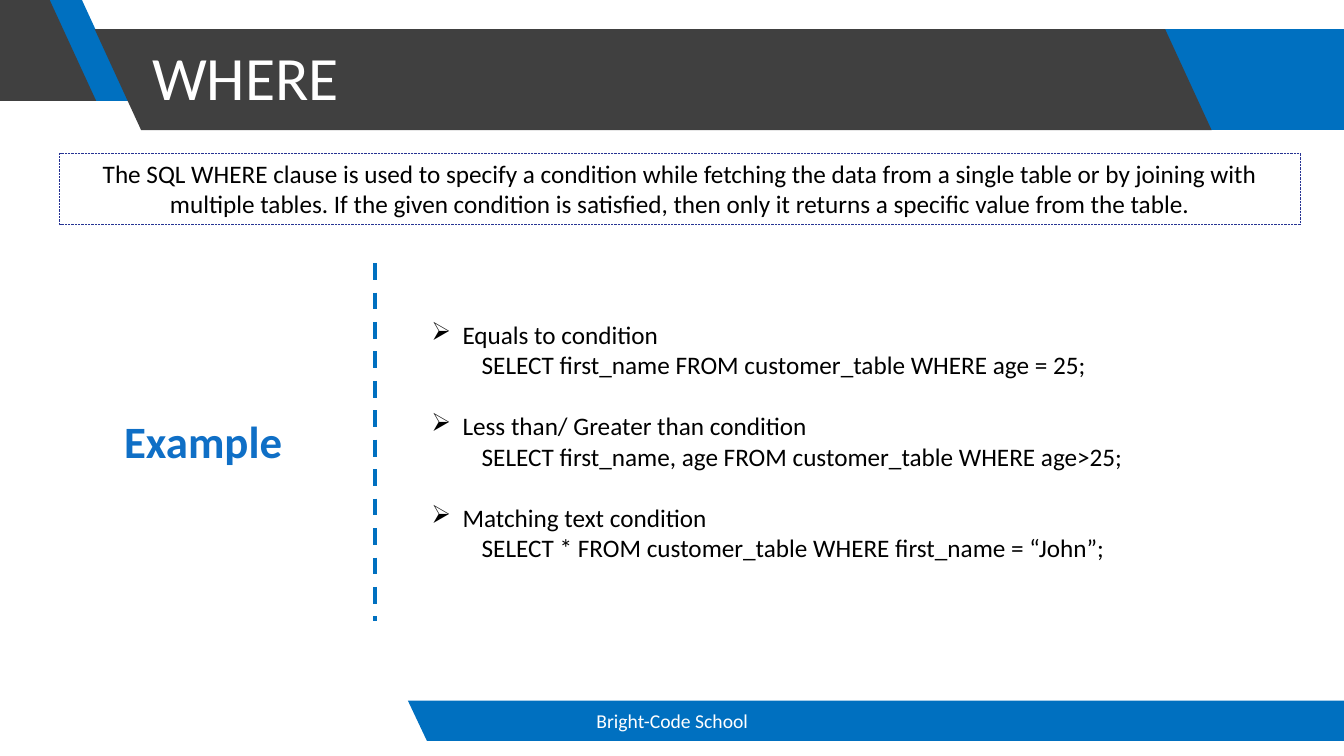
from lxml import etree
from pptx import Presentation, util as u
from pptx.dml.color import RGBColor
from pptx.enum import dml, shapes, text
from pptx.oxml.ns import qn

BLUE, DARK, WHITE, BLACK = "0070C0", "404040", "FFFFFF", "000000"
rgb = RGBColor.from_string

prs = Presentation()
prs.slide_width, prs.slide_height = u.Inches(13.33), u.Inches(7.5)
s = prs.slides.add_slide(prs.slide_layouts[6])

# Grid: 100 columns by 100 rows
COL, ROW = prs.slide_width / 100, prs.slide_height / 100


def band(left, right, top, height, slant_left, slant_right, color):
    """Draw a band whose ends lean right towards the bottom."""
    bottom = top + height
    corners = [(left, top), (right, top),
               (right + slant_right, bottom), (left + slant_left, bottom)]
    points = [(round(x * COL), round(y * ROW)) for x, y in corners]
    fb = s.shapes.build_freeform(*points[0])
    fb.add_line_segments(points[1:], close=True)
    sp = fb.convert_to_shape()
    sp.shadow.inherit = False
    sp.fill.solid()
    sp.fill.fore_color.rgb = rgb(color)
    sp.line.fill.background()


def textbox(left, top, width, height, lines, size, color,
            align=text.PP_ALIGN.LEFT, anchor=text.MSO_ANCHOR.TOP):
    sp = s.shapes.add_textbox(round(left * COL), round(top * ROW),
                              round(width * COL), round(height * ROW))
    tf = sp.text_frame
    tf.word_wrap = True
    tf.vertical_anchor = anchor
    tf.text = "\n".join(lines)
    for p in tf.paragraphs:
        p.alignment = align
        p.font.name, p.font.size = "Calibri", u.Pt(size)
        p.font.color.rgb = rgb(color)
    return sp


# Header and footer bands
SLANT, HEAD_TOP, HEAD_H = 3.45, 3.87, 13.33
FOOT_TOP, FOOT_H = 92.67, 5.33
band(80.1, 100, HEAD_TOP, HEAD_H, 0, 0, BLUE)
band(2.6, 6.1, 0, HEAD_H, SLANT, SLANT, BLUE)
band(0, 3.7, 0, HEAD_H, 0, SLANT, DARK)
band(7.05, 86.7, HEAD_TOP, HEAD_H, SLANT, SLANT, DARK)
band(30.35, 100, FOOT_TOP, FOOT_H, 1.42, 0, BLUE)

# Title and footer text
title = textbox(10.58, 0.93, 76.05, 19.33, ["WHERE"], 44, WHITE,
                anchor=text.MSO_ANCHOR.MIDDLE)
title.text_frame.paragraphs[0].line_spacing = 0.9
textbox(33.15, FOOT_TOP, 33.75, FOOT_H, ["Bright-Code School"], 14, WHITE,
        text.PP_ALIGN.CENTER, text.MSO_ANCHOR.MIDDLE)

# Definition in a dotted frame
definition = textbox(
    4.43, 20.27, 92.33, 9.47,
    ["The SQL WHERE clause is used to specify a condition while fetching the "
     "data from a single table or by joining with multiple tables. If the given "
     "condition is satisfied, then only it returns a specific value from the table."],
    18, BLACK, text.PP_ALIGN.CENTER)
definition.line.color.rgb = rgb("263393")
definition.line.width = u.Pt(0.5)
definition.line.dash_style = dml.MSO_LINE.ROUND_DOT

# Dashed divider
divider = s.shapes.add_connector(
    shapes.MSO_CONNECTOR.STRAIGHT, round(27.9 * COL), round(34.8 * ROW),
    round(27.9 * COL), round(82.13 * ROW))
divider.line.color.rgb = rgb(BLUE)
divider.line.width = u.Pt(3)
divider.line.dash_style = dml.MSO_LINE.DASH
etree.SubElement(divider._element.spPr, qn("a:effectLst"))

# Example label
example = textbox(2.33, 54.13, 25.58, 8.53, ["Example"], 32, "0F6FC6",
                  text.PP_ALIGN.CENTER)
example.text_frame.paragraphs[0].font.bold = True

# Conditions, each with its query
conditions = [
    ("Equals to condition",
     "SELECT first_name FROM customer_table WHERE age = 25;"),
    ("Less than/ Greater than condition",
     "SELECT first_name, age FROM customer_table WHERE age>25;"),
    ("Matching text condition",
     "SELECT * FROM customer_table WHERE first_name = “John”;"),
]
queries = textbox(31.35, 41.6, 61.95, 33.6,
                  [line for pair in conditions for line in pair], 18, BLACK)
for i, p in enumerate(queries.text_frame.paragraphs):
    pPr = p._p.get_or_add_pPr()
    if i % 2:
        p.level = 1
        pPr.set("marL", str(u.Inches(0.5)))
        pPr.set("indent", "0")
        continue
    pPr.set("marL", str(u.Inches(0.31)))
    pPr.set("indent", str(-u.Inches(0.31)))
    bullet = etree.Element(qn("a:buChar"), char="➢")
    pPr.find(qn("a:defRPr")).addprevious(bullet)
    if i:
        p.space_before = u.Pt(22)

prs.save("out.pptx")
